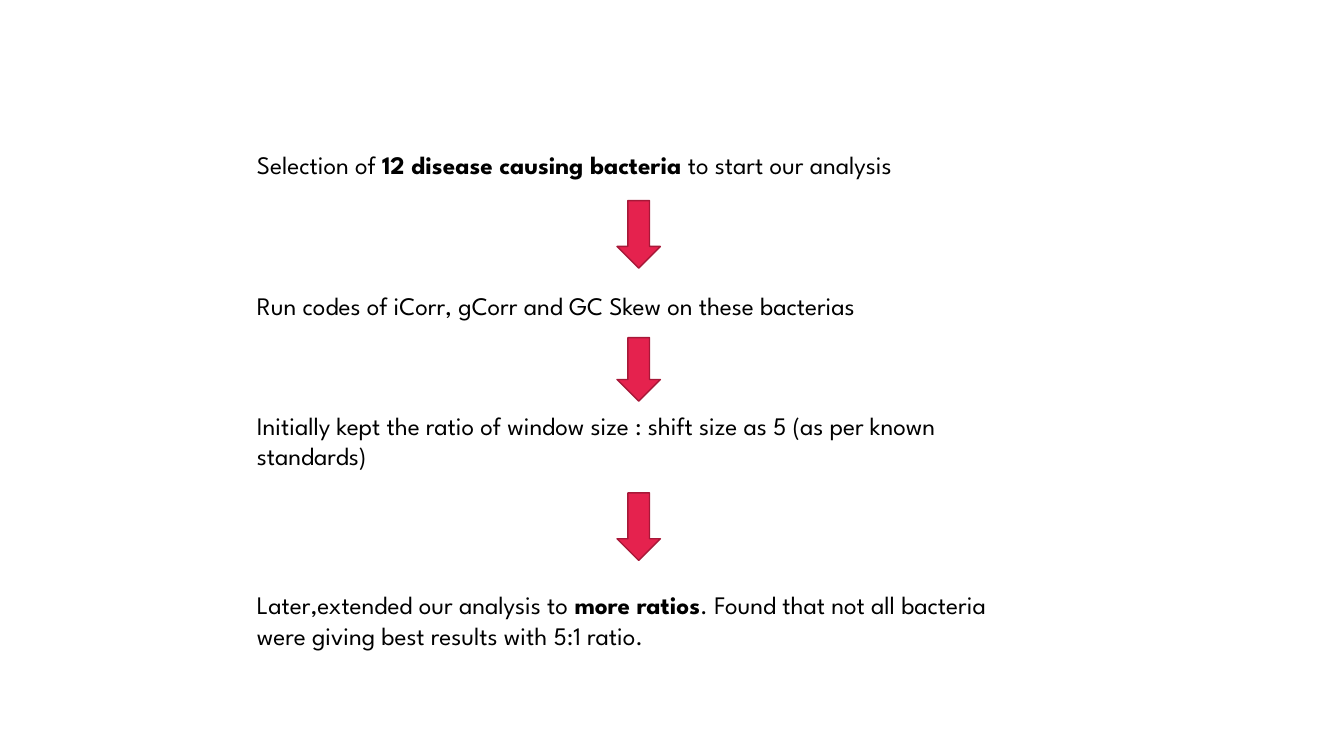
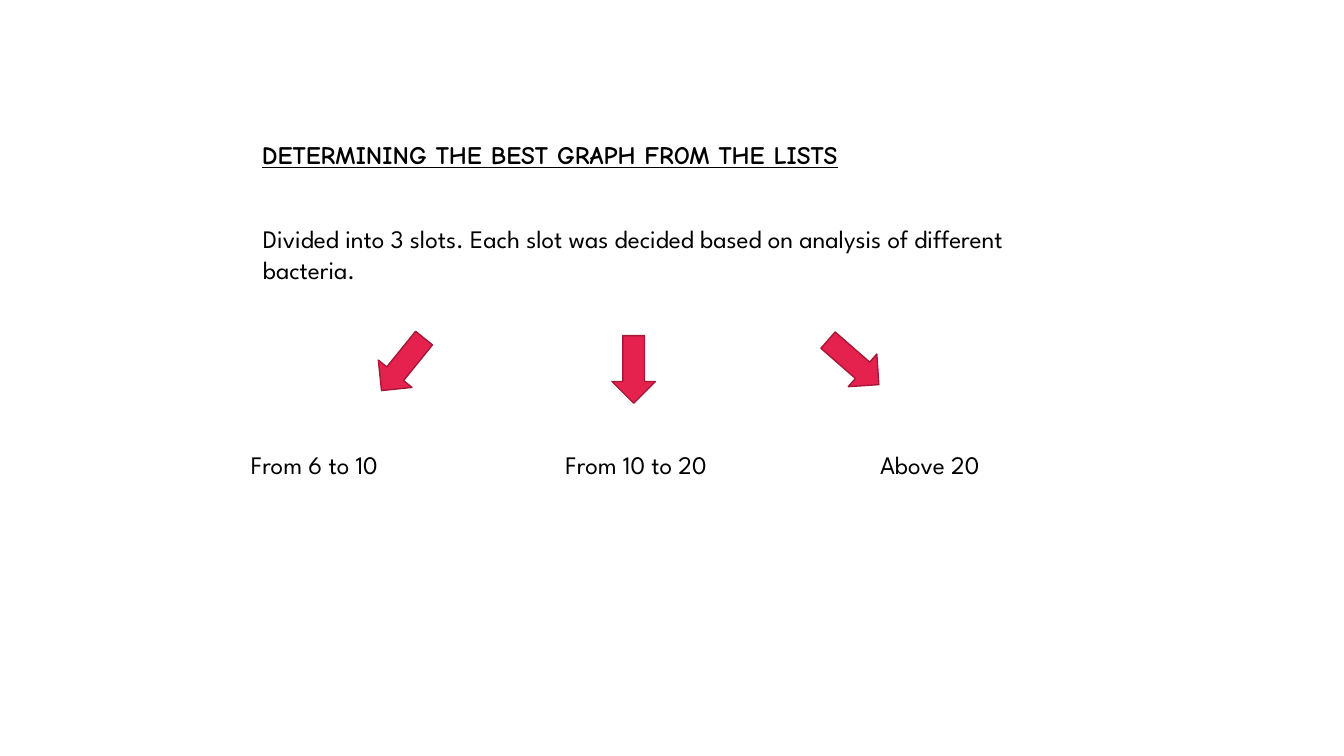
from dataclasses import dataclass

from pptx import Presentation
from pptx.dml.color import RGBColor
from pptx.enum.shapes import MSO_SHAPE
from pptx.util import Emu, Pt

DOWN_ARROW = MSO_SHAPE.DOWN_ARROW
EMU_PER_PX = 9144  # 100 px to the inch


def px(length):
    return Emu(length * EMU_PER_PX)


@dataclass(frozen=True)
class Theme:
    ink: RGBColor = RGBColor(0x00, 0x00, 0x00)
    accent: RGBColor = RGBColor(0xE5, 0x22, 0x4E)
    accent_edge: RGBColor = RGBColor(0xA7, 0x18, 0x38)
    body_font: str = "League Spartan"
    heading_font: str = "Comic Neue"
    text_size: Pt = Pt(18)
    edge_width: Pt = Pt(1)


class Deck:
    def __init__(self, theme, width, height):
        self.theme = theme
        self.prs = Presentation()
        self.prs.slide_width, self.prs.slide_height = px(width), px(height)
        self.slide = None

    def new_slide(self):
        self.slide = self.prs.slides.add_slide(self.prs.slide_layouts[6])

    def text(self, left, top, width, height, wording, font=None, inset=5):
        """Adds a text box; every second part between ** marks is bold."""
        box = self.slide.shapes.add_textbox(px(left), px(top), px(width), px(height))
        frame = box.text_frame
        frame.word_wrap = True
        frame.margin_left = frame.margin_right = px(10)
        frame.margin_top = frame.margin_bottom = px(inset)
        for index, part in enumerate(wording.split("**")):
            if not part:
                continue
            run = frame.paragraphs[0].add_run()
            run.text = part
            run.font.name = font or self.theme.body_font
            run.font.size = self.theme.text_size
            run.font.color.rgb = self.theme.ink
            run.font.bold = index % 2 == 1
        return box

    def heading(self, left, top, width, height, wording):
        box = self.text(left, top, width, height, f"**{wording}**",
                        font=self.theme.heading_font, inset=10)
        box.text_frame.paragraphs[0].runs[0].font.underline = True

    def arrow(self, left, top, height=67, rotation=0):
        arrow = self.slide.shapes.add_shape(
            DOWN_ARROW, px(left), px(top), px(43), px(height))
        arrow.rotation = rotation
        arrow.shadow.inherit = False
        arrow.fill.solid()
        arrow.fill.fore_color.rgb = self.theme.accent
        arrow.line.color.rgb = self.theme.accent_edge
        arrow.line.width = self.theme.edge_width

    def save(self):
        self.prs.save("out.pptx")


def analysis_steps(deck):
    deck.new_slide()
    steps = [
        (143, 40, "Selection of **12 disease causing bacteria** to start our analysis"),
        (283, 40, "Run codes of iCorr, gCorr and GC Skew on these bacterias"),
        (402, 71, "Initially kept the ratio of window size : shift size as 5 "
                  "(as per known standards)"),
        (580, 101, "Later,extended our analysis to **more ratios**. Found that not all "
                   "bacteria were giving best results with 5:1 ratio."),
    ]
    for top, height, wording in steps:
        deck.text(245, top, 778, height, wording)
    for top, height in [(199, 67), (335, 63), (489, 67)]:
        deck.arrow(612, top, height)


def graph_slots(deck):
    deck.new_slide()
    deck.heading(250, 128, 795, 55, "DETERMINING THE BEST GRAPH FROM THE LISTS")
    deck.text(251, 217, 778, 71, "Divided into 3 slots. Each slot was decided based on "
                                 "analysis of different bacteria.")
    slots = [
        ("From 6 to 10", 378, 328, 39),
        ("From 10 to 20", 607, 333, 0),
        ("Above 20", 825, 326, 311.2),
    ]
    for column, (label, arrow_left, arrow_top, rotation) in enumerate(slots):
        deck.arrow(arrow_left, arrow_top, rotation=rotation)
        deck.text(239 + 312 * column, 441, 246, 40, label)


def main():
    deck = Deck(Theme(), 1333, 750)
    analysis_steps(deck)
    graph_slots(deck)
    deck.save()


if __name__ == "__main__":
    main()
